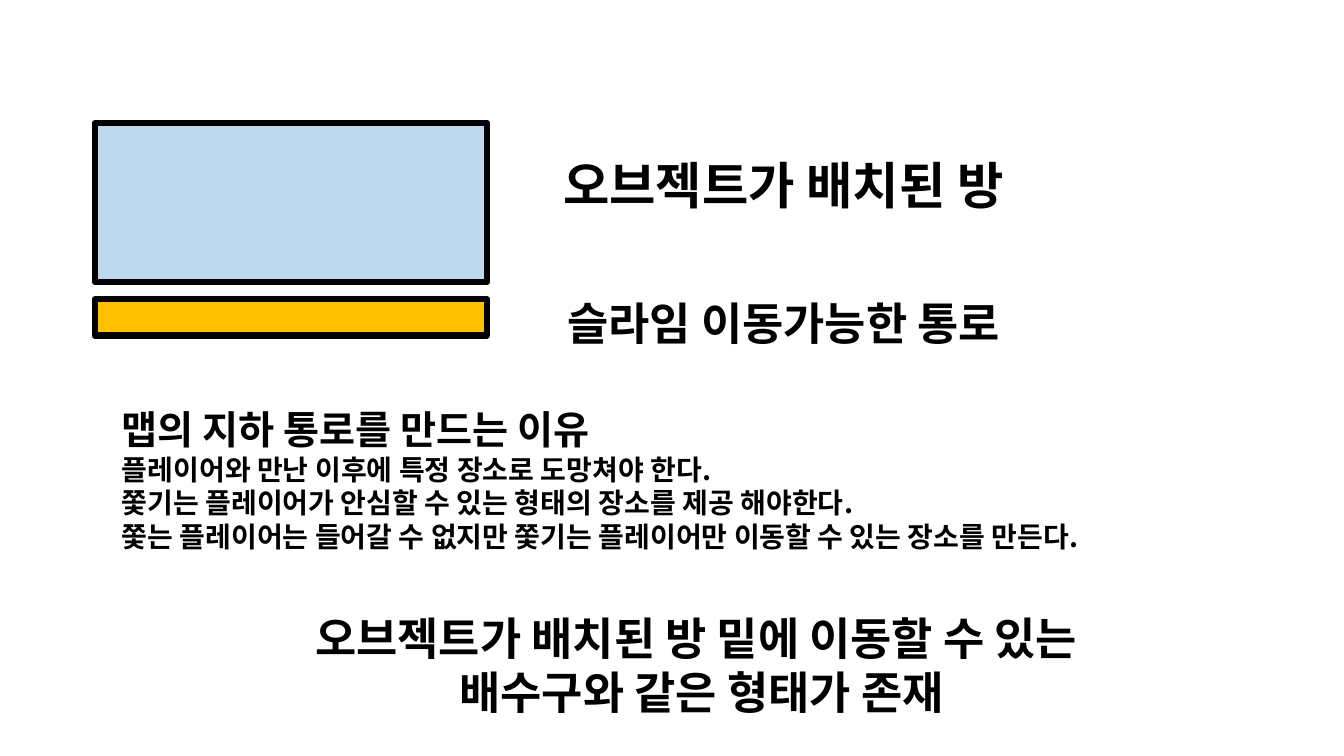
from lxml.etree import SubElement
from pptx import Presentation
from pptx.dml.color import RGBColor
from pptx.enum.shapes import MSO_SHAPE as Kind
from pptx.enum.text import MSO_AUTO_SIZE as Fit, PP_ALIGN as Align
from pptx.oxml.ns import qn
from pptx.util import Inches, Pt

FACE = "Noto Sans CJK KR"
INK = "000000"
EDGE = "FFFFFF"

# top, height, fill of the room and the passage below it
BARS = [(1.22, 1.58, "BDD7EE"), (2.97, 0.36, "FFC000")]
BAR_LEFT, BAR_WIDTH = 0.94, 3.89

# place, text size, lines: each line is its own centred paragraph
LABELS = [
    ((5.22, 1.48, 5.1, 0.71), 36, ["오브젝트가 배치된 방"]),
    ((5.27, 2.88, 5.01, 0.64), 32, ["슬라임 이동가능한 통로"]),
    ((2.49, 6.01, 8.94, 1.18), 32,
     ["오브젝트가 배치된 방 밑에 이동할 수 있는 ", "배수구와 같은 형태가 존재"]),
]

# text size, line: all lines share one paragraph
REASON_AT = (1.11, 3.97, 10.89, 1.58)
REASONS = [
    (28, "맵의 지하 통로를 만드는 이유"),
    (20, "플레이어와 만난 이후에 특정 장소로 도망쳐야 한다."),
    (20, "쫓기는 플레이어가 안심할 수 있는 형태의 장소를 제공 해야한다."),
    (20, "쫓는 플레이어는 들어갈 수 없지만 쫓기는 플레이어만 이동할 수 있는 장소를 만든다."),
]


def tint(part, color):
    """Give a fill a solid colour."""
    part.solid()
    part.fore_color.rgb = RGBColor.from_string(color)


def add_bar(top, high, color):
    """Draw one block with a thick black border."""
    place = map(Inches, (BAR_LEFT, top, BAR_WIDTH, high))
    bar = slide.shapes.add_shape(Kind.RECTANGLE, *place)
    bar.shadow.inherit = False
    tint(bar.fill, color)
    tint(bar.line.fill, INK)
    bar.line.width = Pt(4.5)


def add_box(place):
    """Add an unwrapped text box that grows, and return its frame."""
    frame = slide.shapes.add_textbox(*map(Inches, place)).text_frame
    for name, value in {"word_wrap": False, "auto_size": Fit.SHAPE_TO_FIT_TEXT}.items():
        setattr(frame, name, value)
    return frame


def add_run(para, text, size, edged=False):
    """Add bold text, with a thin white outline if edged."""
    run = para.add_run()
    run.text = text
    for name, value in {"size": Pt(size), "bold": True, "name": FACE}.items():
        setattr(run.font, name, value)
    tint(run.font.fill, INK)
    props = run.font._element
    east = SubElement(props, qn("a:ea"), typeface=FACE)
    props.find(qn("a:latin")).addnext(east)
    if edged:
        line = SubElement(props, qn("a:ln"), w=str(Pt(0.75)))
        fill = SubElement(line, qn("a:solidFill"))
        SubElement(fill, qn("a:srgbClr"), val=EDGE)
        props.insert(0, line)


deck = Presentation()
deck.slide_width, deck.slide_height = Inches(13.33), Inches(7.5)
slide = deck.slides.add_slide(deck.slide_layouts[6])

for bar in BARS:
    add_bar(*bar)

para = add_box(REASON_AT).paragraphs[0]
for row, (size, text) in enumerate(REASONS):
    if row:
        para.add_line_break()
    add_run(para, text, size)

for place, size, lines in LABELS:
    frame = add_box(place)
    for row, text in enumerate(lines):
        para = frame.add_paragraph() if row else frame.paragraphs[0]
        para.alignment = Align.CENTER
        add_run(para, text, size, edged=True)

deck.save("out.pptx")
